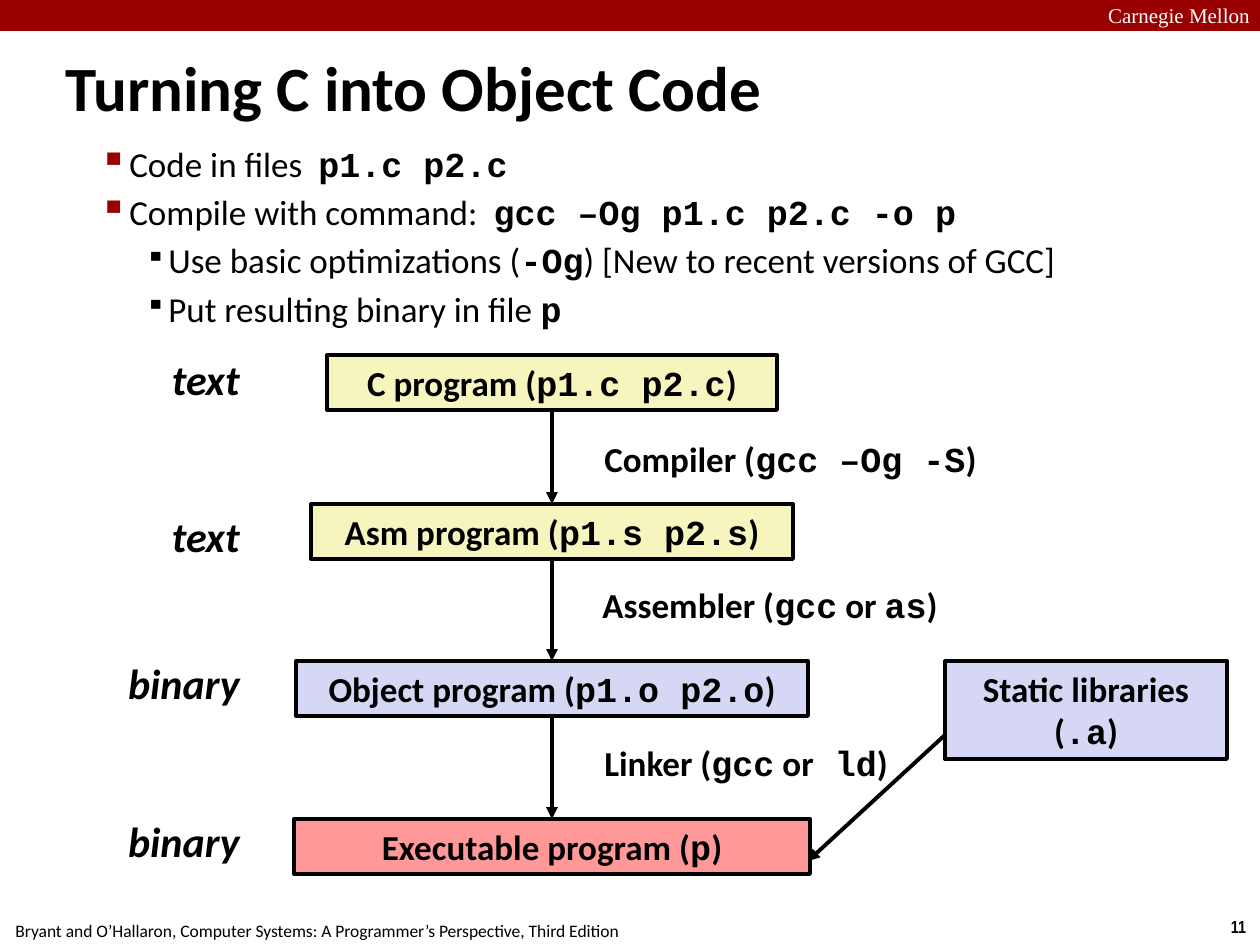
from pptx import Presentation
from pptx.util import Pt
from pptx.dml.color import RGBColor
from pptx.enum.shapes import MSO_CONNECTOR, MSO_SHAPE
from pptx.enum.text import MSO_ANCHOR, PP_ALIGN
from lxml import etree

RECT = MSO_SHAPE.RECTANGLE
STRAIGHT = MSO_CONNECTOR.STRAIGHT
TOP, MIDDLE = MSO_ANCHOR.TOP, MSO_ANCHOR.MIDDLE
LEFT, CENTER, RIGHT = PP_ALIGN.LEFT, PP_ALIGN.CENTER, PP_ALIGN.RIGHT
NS = "http://schemas.openxmlformats.org/drawingml/2006/main"
PX = 914400 / 126

THEME = {
    "bar": "990000", "ink": "000000", "paper": "FFFFFF",
    "source": "F6F5BD", "binary": "D6D6F5", "exec": "FF9999",
    "sans": "Calibri", "mono": "Courier New",
    "serif": "Times New Roman", "narrow": "Arial Narrow",
    "title": 36, "label": 24, "text": 20, "header": 12, "footer": 10,
    "line": 2.25,
}


def emu(*px):
    return [round(v * PX) for v in px]


def add_text(p, text, size="text", font="sans", color="ink", bold=False,
             italic=False, align=LEFT):
    """Write text into a paragraph; parts between backticks are bold code."""
    p.alignment = align
    for i, part in enumerate(text.split("`")):
        if part:
            code = i % 2 == 1
            r = p.add_run()
            r.text = part
            r.font.name = THEME["mono" if code else font]
            r.font.size = Pt(THEME[size])
            r.font.bold = bold or code
            r.font.italic = italic
            r.font.color.rgb = RGBColor.from_string(THEME[color])


prs = Presentation()
prs.slide_width, prs.slide_height = emu(1260, 945)
s = prs.slides.add_slide(prs.slide_layouts[6])

# Top bar
bar = s.shapes.add_shape(RECT, *emu(0, 0, 1260, 31))
bar.shadow.inherit = False
bar.fill.solid()
bar.fill.fore_color.rgb = RGBColor.from_string(THEME["bar"])
bar.line.fill.background()

# Header, footer, title, stage kinds and tool names
kind = dict(size="label", bold=True, italic=True, align=RIGHT)
tool = dict(bold=True)
footer = dict(size="footer", align=CENTER)
texts = [
    (1089, -4, 180, 38, "Carnegie Mellon",
     dict(size="header", font="serif", color="paper", align=CENTER)),
    (1217, 910, 43, 34, "11", dict(footer, font="narrow", bold=True)),
    (-3, 914, 640, 34, "Bryant and O’Hallaron, Computer Systems: "
     "A Programmer’s Perspective, Third Edition", footer),
    (53, 47, 964, 79, "Turning C into Object Code",
     dict(size="title", bold=True)),
    (115, 347, 137, 63, "text", kind),
    (115, 504, 137, 63, "text", kind),
    (115, 651, 137, 63, "binary", kind),
    (115, 809, 137, 63, "binary", kind),
    (592, 431, 418, 54, "Compiler (`gcc –Og -S`)", tool),
    (590, 577, 420, 54, "Assembler (`gcc` or `as`)", tool),
    (592, 735, 364, 54, "Linker (`gcc` or` ld`)", tool),
]
for x, y, w, h, text, fmt in texts:
    tf = s.shapes.add_textbox(*emu(x, y, w, h)).text_frame
    tf.word_wrap = fmt.get("size") != "footer"
    tf.vertical_anchor = MIDDLE if fmt.get("size") == "title" else TOP
    add_text(tf.paragraphs[0], text, **fmt)

# Bullets: level, text
bullets = [
    (1, "Code in files  `p1.c p2.c`"),
    (1, "Compile with command:  `gcc –Og p1.c p2.c -o p`"),
    (2, "Use basic optimizations (`-Og`) [New to recent versions of GCC]"),
    (2, "Put resulting binary in file `p`"),
]
# level: left margin px, indent px, bullet colour, bullet size %
bullet_styles = {1: (77, -30, "bar", 110), 2: (116, -23, "ink", 80)}
tf = s.shapes.add_textbox(*emu(40, 136, 1145, 202)).text_frame
tf.word_wrap = True
for i, (level, text) in enumerate(bullets):
    p = tf.add_paragraph() if i else tf.paragraphs[0]
    margin, indent, color, percent = bullet_styles[level]
    p.level = level
    pPr = p._p.get_or_add_pPr()
    for name, value in zip(("marL", "indent"), emu(margin, indent)):
        pPr.set(name, str(value))
    clr = etree.SubElement(pPr, f"{{{NS}}}buClr")
    etree.SubElement(clr, f"{{{NS}}}srgbClr", val=THEME[color])
    etree.SubElement(pPr, f"{{{NS}}}buSzPct", val=str(percent * 1000))
    etree.SubElement(pPr, f"{{{NS}}}buChar", char="▪")
    if i:
        p.space_before = Pt(3.6)
    add_text(p, text)

# Program boxes: centre x, top, width, height, fill, text
boxes = [
    (552, 355, 450, 55, "source", "C program (`p1.c p2.c`)"),
    (552, 504, 482, 55, "source", "Asm program (`p1.s p2.s`)"),
    (552, 661, 512, 55, "binary", "Object program (`p1.o p2.o`)"),
    (552, 819, 516, 55, "exec", "Executable program (`p`)"),
    (1086, 661, 282, 98, "binary", "Static libraries (`.a`)"),
]
stages = []
for cx, y, w, h, fill, text in boxes:
    sp = s.shapes.add_shape(RECT, *emu(cx - w / 2, y, w, h))
    sp.shadow.inherit = False
    sp.fill.solid()
    sp.fill.fore_color.rgb = RGBColor.from_string(THEME[fill])
    sp.line.color.rgb = RGBColor.from_string(THEME["ink"])
    sp.line.width = Pt(THEME["line"])
    tf = sp.text_frame
    tf.word_wrap = True
    tf.vertical_anchor = TOP
    add_text(tf.paragraphs[0], text, bold=True, align=CENTER)
    stages.append(sp)

# Arrows: down the chain, then from the libraries to the executable
arrows = []
for upper, lower in zip(stages[:3], stages[1:4]):
    c = s.shapes.add_connector(STRAIGHT, 0, 0, 0, 0)
    c.begin_connect(upper, 2)
    c.end_connect(lower, 0)
    arrows.append(c)
arrows.append(s.shapes.add_connector(STRAIGHT, *emu(945, 735, 808, 861)))
for c in arrows:
    c.line.color.rgb = RGBColor.from_string(THEME["ink"])
    c.line.width = Pt(THEME["line"])
    etree.SubElement(c.line._get_or_add_ln(), f"{{{NS}}}tailEnd", type="triangle")
    etree.SubElement(c._element.spPr, f"{{{NS}}}effectLst")

prs.save("out.pptx")
